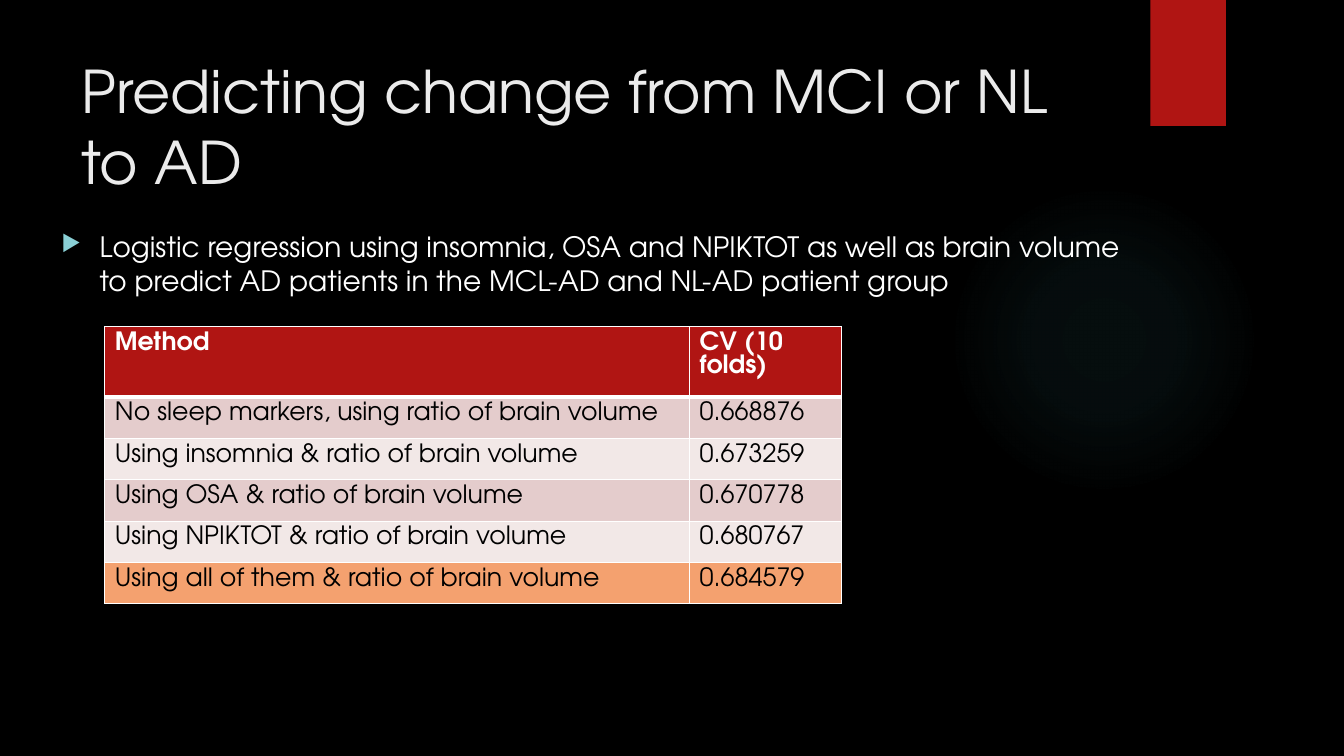
"""Builds the slide on predicting change to AD with logistic regression."""
from pptx import Presentation
from pptx import util as u
from pptx.dml import color
from pptx.enum import shapes, text
from pptx.oxml import ns, parse_xml

NS = ns.nsdecls("a")


def rgb(value):
    return color.RGBColor.from_string(value)


class Deck:
    font = "TeX Gyre Adventor"
    accent = "B01513"

    def __init__(self, prs):
        self.s = prs.slides.add_slide(prs.slide_layouts[6])
        self.s.background.fill.solid()
        self.s.background.fill.fore_color.rgb = rgb("000000")

    def style(self, p, size, hue, bold=False):
        p.font.name = self.font
        p.font.size = u.Pt(size)
        p.font.color.rgb = rgb(hue)
        p.font.bold = bold

    def shape(self, kind, box, fill):
        sp = self.s.shapes.add_shape(kind, *map(u.Inches, box))
        sp.shadow.inherit = False
        sp.line.fill.background()
        sp.fill.solid()
        sp.fill.fore_color.rgb = rgb(fill)
        return sp

    def glow(self, box, hue, stops):
        sp = self.shape(shapes.MSO_SHAPE.OVAL, box, hue)
        gs = "".join(
            f'<a:gs pos="{pos * 1000}"><a:srgbClr val="{hue}">'
            f'<a:alpha val="{alpha * 1000}"/></a:srgbClr></a:gs>'
            for pos, alpha in stops)
        grad = parse_xml(
            f'<a:gradFill {NS} rotWithShape="1"><a:gsLst>{gs}</a:gsLst><a:path path="circle">'
            '<a:fillToRect l="50000" t="50000" r="50000" b="50000"/></a:path></a:gradFill>')
        solid = sp.element.spPr.find(ns.qn("a:solidFill"))
        sp.element.spPr.replace(solid, grad)

    def text(self, box, words, size, hue, anchor=text.MSO_ANCHOR.TOP):
        tf = self.s.shapes.add_textbox(*map(u.Inches, box)).text_frame
        tf.word_wrap = True
        tf.vertical_anchor = anchor
        p = tf.paragraphs[0]
        p.text = words
        self.style(p, size, hue)
        return p

    def bullet(self, p, char, hue, percent, indent):
        pPr = p._p.get_or_add_pPr()
        pPr.set("marL", str(u.Inches(indent)))
        pPr.set("indent", str(-u.Inches(indent)))
        for i, xml in enumerate((f'<a:buClr {NS}><a:srgbClr val="{hue}"/></a:buClr>',
                                 f'<a:buSzPct {NS} val="{percent * 1000}"/>',
                                 f'<a:buChar {NS} char="{char}"/>')):
            pPr.insert(i, parse_xml(xml))

    def borders(self, cell, hue, bottom):
        tcPr = cell._tc.get_or_add_tcPr()
        for i, (side, width) in enumerate(zip("LRTB", (1, 1, 1, bottom))):
            tcPr.insert(i, parse_xml(
                f'<a:ln{side} {NS} w="{u.Pt(width)}"><a:solidFill>'
                f'<a:srgbClr val="{hue}"/></a:solidFill></a:ln{side}>'))

    def table(self, box, widths, heights, rows, fills):
        tbl = self.s.shapes.add_table(len(rows), len(widths), *map(u.Inches, box)).table
        for col, width in zip(tbl.columns, widths):
            col.width = u.Inches(width)
        for r, (row, height, fill) in enumerate(zip(rows, heights, fills)):
            tbl.rows[r].height = u.Inches(height)
            header = r == 0
            for c, words in enumerate(row):
                cell = tbl.cell(r, c)
                cell.fill.solid()
                cell.fill.fore_color.rgb = rgb(fill)
                self.borders(cell, "FFFFFF", 3 if header else 1)
                p = cell.text_frame.paragraphs[0]
                p.text = words
                self.style(p, 18, "FFFFFF" if header else "000000", header)


def main():
    prs = Presentation()
    prs.slide_width, prs.slide_height = u.Inches(13.33), u.Inches(7.5)
    deck = Deck(prs)
    deck.glow((9.41, 1.83, 3.08, 3.08), "50B9C1", [(0, 7), (36, 6), (69, 0)])
    deck.shape(shapes.MSO_SHAPE.RECTANGLE, (11.41, 0, 0.75, 1.25), deck.accent)
    deck.text((0.71, 0.48, 10.29, 1.53), "Predicting change from MCI or NL to AD",
              42, "EBEBEB", text.MSO_ANCHOR.MIDDLE)
    p = deck.text((0.51, 2.23, 11, 0.8),
                  "Logistic regression using insomnia, OSA and NPIKTOT as well as brain volume "
                  "to predict AD patients in the MCL-AD and NL-AD patient group", 20, "FFFFFF")
    deck.bullet(p, "▶", "8AD0D6", 80, 0.38)
    rows = [
        ("Method", "CV (10 folds)"),
        ("No sleep markers, using ratio of brain volume", "0.668876"),
        ("Using insomnia & ratio of brain volume", "0.673259"),
        ("Using OSA & ratio of brain volume", "0.670778"),
        ("Using NPIKTOT & ratio of brain volume", "0.680767"),
        ("Using all of them & ratio of brain volume", "0.684579"),
    ]
    deck.table((1.04, 3.24, 7.31, 2.73), (5.8, 1.51), [0.7] + [0.41] * 5, rows,
               [deck.accent] + ["E4CCCC", "F2E8E7"] * 2 + ["F4A16F"])
    prs.save("out.pptx")


if __name__ == "__main__":
    main()
